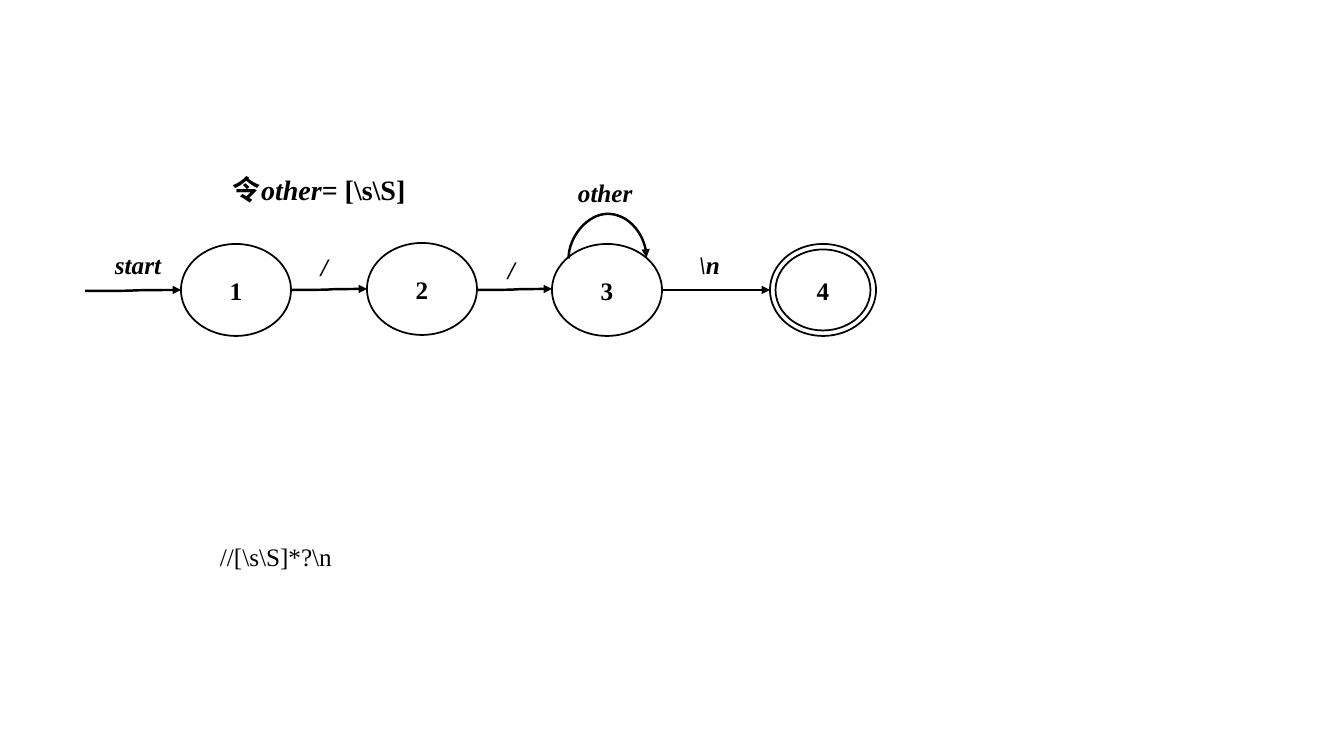
from dataclasses import dataclass

from lxml import etree
from pptx import Presentation
from pptx.dml.color import RGBColor
from pptx.enum.shapes import MSO_CONNECTOR, MSO_SHAPE
from pptx.enum.text import MSO_ANCHOR, MSO_AUTO_SIZE, PP_ALIGN
from pptx.oxml.ns import qn
from pptx.util import Emu, Pt

CURVE = MSO_CONNECTOR.CURVE
OVAL, DONUT = MSO_SHAPE.OVAL, MSO_SHAPE.DONUT
LEFT, CENTER, JUSTIFY = PP_ALIGN.LEFT, PP_ALIGN.CENTER, PP_ALIGN.JUSTIFY
MIDDLE = MSO_ANCHOR.MIDDLE
GROW = MSO_AUTO_SIZE.SHAPE_TO_FIT_TEXT

FONT = "Times New Roman"
COLORS = {"ink": RGBColor.from_string("000000"), "paper": RGBColor.from_string("FFFFFF")}
INDENT = 29  # one indent step


def px(length: float) -> Emu:
    return Emu(round(length * 914400 / 100.8))


@dataclass
class State:
    name: str
    left: int
    top: int = 244
    width: int = 110
    final: bool = False


@dataclass
class Arrow:
    start: tuple[int, int]
    end: tuple[int, int]


@dataclass
class Label:
    runs: list[tuple[str, bool]]  # text, italic
    left: int
    top: int
    width: int
    size: int = 18
    bold: bool = True
    wrap: bool = True
    margin_steps: int = 0


STATES = [
    State("1", 181),
    State("2", 367, top=243),
    State("3", 552),
    State("4", 770, width=106, final=True),
]
ARROWS = [
    Arrow((85, 291), (181, 290)),
    Arrow((291, 290), (367, 289)),
    Arrow((477, 290), (552, 289)),
    Arrow((661, 290), (770, 290)),
]
LABELS = [
    Label([("start", True)], 105, 244, 120),
    Label([("/", True)], 311, 246, 29),
    Label([("/", True)], 498, 249, 29),
    Label([("\\n", True)], 689, 244, 41),
    Label([("other", True)], 568, 172, 76, wrap=False),
    Label([("令", False), ("other", True), ("= [\\s\\S]", False)],
          165, 168, 253, size=20, margin_steps=1),
    Label([("//[\\s\\S]*?\\n", False)], 123, 536, 223, bold=False, wrap=False, margin_steps=2),
]


def style_font(font, size: int, bold: bool) -> None:
    font.name, font.size, font.bold = FONT, Pt(size), bold
    font.color.rgb = COLORS["ink"]


def add_state(slide, state: State) -> None:
    shape = slide.shapes.add_shape(DONUT if state.final else OVAL, px(state.left),
                                   px(state.top), px(state.width), px(92))
    if state.final:
        shape.adjustments[0] = 0.06
    shape.shadow.inherit = False
    shape.fill.solid()
    shape.fill.fore_color.rgb = COLORS["paper"]
    shape.line.color.rgb = COLORS["ink"]
    shape.line.width = Pt(1.25)
    shape.text_frame.vertical_anchor = MIDDLE
    paragraph = shape.text_frame.paragraphs[0]
    paragraph.text = state.name
    paragraph.alignment = CENTER
    style_font(paragraph.font, 18, True)


def add_arrow(slide, arrow: Arrow):
    connector = slide.shapes.add_connector(CURVE, *map(px, arrow.start + arrow.end))
    connector.line.color.rgb = COLORS["ink"]
    connector.line.width = Pt(1.75)
    etree.SubElement(connector.line._get_or_add_ln(), qn("a:tailEnd"), type="triangle")
    etree.SubElement(connector._element.spPr, qn("a:effectLst"))
    return connector


def add_loop(slide, arrow: Arrow, rise: int) -> None:
    """Draw an upright curve, turned a quarter so that it bulges upwards."""
    properties = add_arrow(slide, arrow)._element.spPr
    properties.find(qn("a:xfrm")).set("rot", str(90 * 60000))
    geometry = properties.find(qn("a:prstGeom"))
    geometry.set("prst", "curvedConnector3")
    guides = geometry.find(qn("a:avLst"))
    bulge = rise * 100000 // abs(arrow.start[0] - arrow.end[0])
    etree.SubElement(guides, qn("a:gd"), name="adj1", fmla=f"val {bulge}")


def add_label(slide, label: Label) -> None:
    box = slide.shapes.add_textbox(px(label.left), px(label.top), px(label.width), px(40))
    frame = box.text_frame
    frame.word_wrap = label.wrap
    frame.auto_size = GROW
    paragraph = frame.paragraphs[0]
    paragraph.alignment = JUSTIFY if label.margin_steps else LEFT
    style_font(paragraph.font, label.size, label.bold)
    if label.margin_steps:
        properties = paragraph._p.get_or_add_pPr()
        properties.set("marL", str(px(label.margin_steps * INDENT)))
        properties.set("indent", str(px(INDENT)))
    for text, italic in label.runs:
        run = paragraph.add_run()
        run.text = text
        run.font.italic = italic


presentation = Presentation()
presentation.slide_width, presentation.slide_height = px(1344), px(756)
slide = presentation.slides.add_slide(presentation.slide_layouts[6])

# States of the automaton
for state in STATES:
    add_state(slide, state)

# Transitions, and the loop on state 3
for arrow in ARROWS:
    add_arrow(slide, arrow)
add_loop(slide, Arrow((608, 297), (607, 219)), rise=45)

# Transition labels, definition and regular expression
for label in LABELS:
    add_label(slide, label)

presentation.save("out.pptx")
